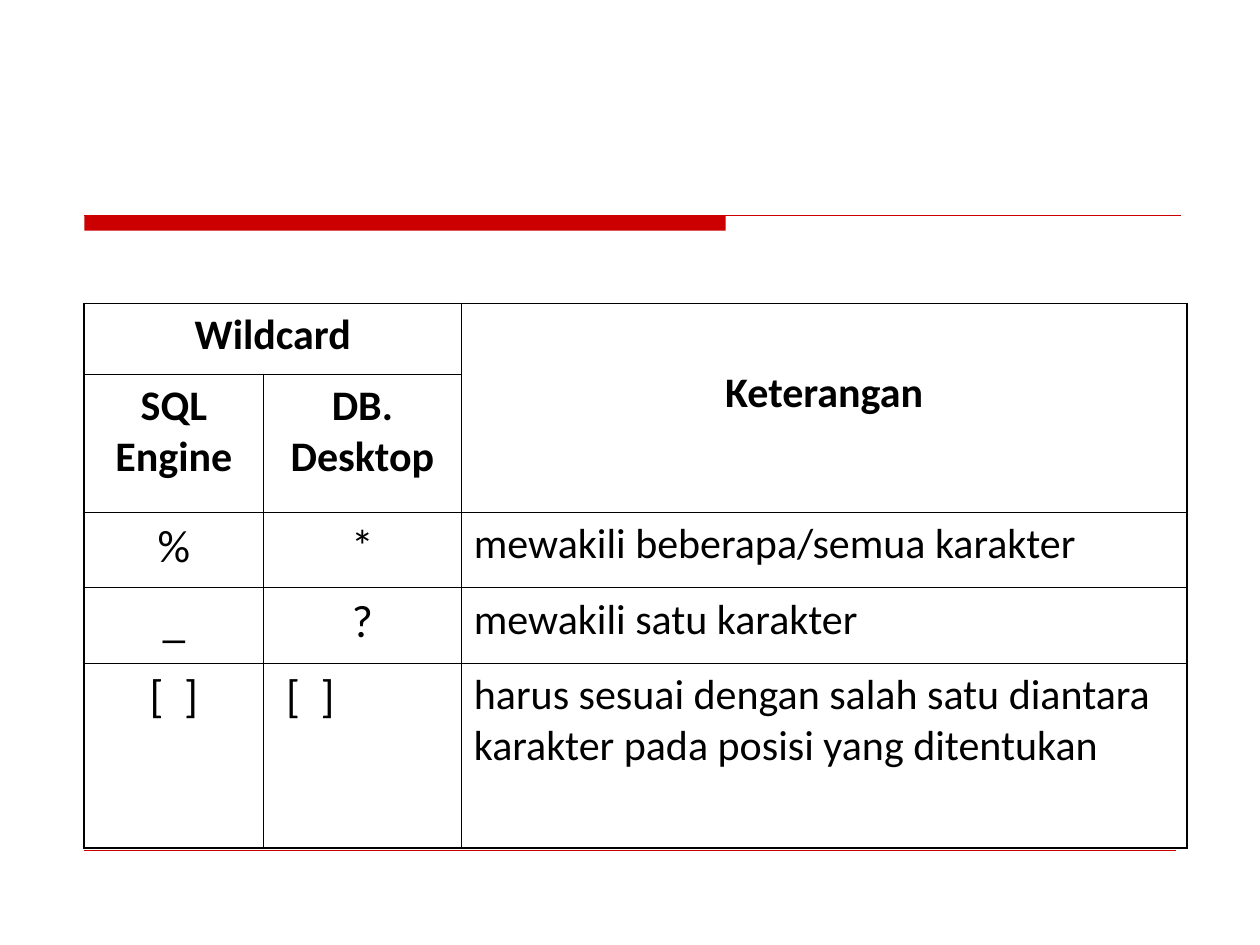
from lxml import etree
from pptx import Presentation
from pptx.dml.color import RGBColor
from pptx.enum.shapes import MSO_CONNECTOR, MSO_SHAPE
from pptx.enum.text import PP_ALIGN
from pptx.oxml.ns import qn
from pptx.util import Cm, Pt

RED, BLACK = "CC0000", "000000"
OUTER, INNER = 1.08, 0.45  # border widths in points
COLS = [3.61, 3.99, 14.63]
ROWS = [1.42, 2.79, 1.52, 1.52, 3.73]

HEAD = {"size": Pt(24), "bold": True}
SYMBOL = {"size": Pt(26), "bold": False}
NOTE = {"size": Pt(24), "bold": False}
CENTER, LEFT = PP_ALIGN.CENTER, PP_ALIGN.LEFT

# row, column, text, font, alignment, cell margins in cm
CELLS = [
    (0, 0, "Wildcard", HEAD, CENTER, {}),
    (0, 2, "Keterangan", HEAD, CENTER, {"margin_top": 1.3}),
    (1, 0, "SQL Engine", HEAD, CENTER, {}),
    (1, 1, "DB. Desktop", HEAD, CENTER, {}),
    (2, 0, "%", SYMBOL, CENTER, {}),
    (2, 1, "*", SYMBOL, CENTER, {}),
    (2, 2, "mewakili beberapa/semua karakter", NOTE, LEFT, {}),
    (3, 0, "_", SYMBOL, CENTER, {}),
    (3, 1, "?", SYMBOL, CENTER, {}),
    (3, 2, "mewakili satu karakter", NOTE, LEFT, {}),
    (4, 0, "[  ]", SYMBOL, CENTER, {}),
    (4, 1, "[  ]", SYMBOL, LEFT, {"margin_left": 0.46}),
    (4, 2, "harus sesuai dengan salah satu diantara karakter "
           "pada posisi yang ditentukan", NOTE, LEFT, {}),
]


def color(value):
    return RGBColor.from_string(value)


def add_rule(s, x, y, width, weight):
    line = s.shapes.add_connector(MSO_CONNECTOR.STRAIGHT,
                                  Cm(x), Cm(y), Cm(x + width), Cm(y))
    line.line.color.rgb = color(RED)
    line.line.width = Pt(weight)
    etree.SubElement(line._element.spPr, qn("a:effectLst"))


def add_header_rule(s, x, y, width):
    # thick bar over the left part of a thin line
    bar = s.shapes.add_shape(MSO_SHAPE.RECTANGLE, Cm(x), Cm(y),
                             Cm(12.93), Cm(0.31))
    bar.shadow.inherit = False
    bar.fill.solid()
    bar.fill.fore_color.rgb = color(RED)
    bar.line.fill.background()
    add_rule(s, x, y, width, 0.75)


def set_borders(cell, row, col):
    tcPr = cell._tc.get_or_add_tcPr()
    edges = {"L": col == 0, "R": col == len(COLS) - 1,
             "T": row == 0, "B": row == len(ROWS) - 1}
    for side, outer in edges.items():
        ln = etree.SubElement(tcPr, qn(f"a:ln{side}"),
                              w=str(int(Pt(OUTER if outer else INNER))))
        fill = etree.SubElement(ln, qn("a:solidFill"))
        etree.SubElement(fill, qn("a:srgbClr"), val=BLACK)
    cell.fill.background()


def write_cell(cell, text, font, align, margins):
    for name, value in margins.items():
        setattr(cell, name, Cm(value))
    p = cell.text_frame.paragraphs[0]
    p.alignment = align
    p.space_before = Pt(font["size"].pt / 4)
    r = p.add_run()
    r.text = text
    for name, value in {"name": "Calibri", **font}.items():
        setattr(r.font, name, value)
    r.font.color.rgb = color(BLACK)


def add_wildcard_table(s, x, y):
    table = s.shapes.add_table(len(ROWS), len(COLS), Cm(x), Cm(y),
                               Cm(sum(COLS)), Cm(sum(ROWS))).table
    table.first_row = table.horz_banding = False
    for col, width in zip(table.columns, COLS):
        col.width = Cm(width)
    for row, height in zip(table.rows, ROWS):
        row.height = Cm(height)
    for i in range(len(ROWS)):
        for j in range(len(COLS)):
            set_borders(table.cell(i, j), i, j)
    # merged headings
    table.cell(0, 0).merge(table.cell(0, 1))
    table.cell(0, 2).merge(table.cell(1, 2))
    for row, col, *content in CELLS:
        write_cell(table.cell(row, col), *content)


def main():
    prs = Presentation()
    prs.slide_width, prs.slide_height = Cm(25.4), Cm(19.05)
    s = prs.slides.add_slide(prs.slide_layouts[6])
    add_header_rule(s, 1.7, 4.34, 22.1)
    add_rule(s, 1.7, 17.15, 22, 0.25)
    add_wildcard_table(s, 1.7, 6.12)
    prs.save("out.pptx")


if __name__ == "__main__":
    main()
